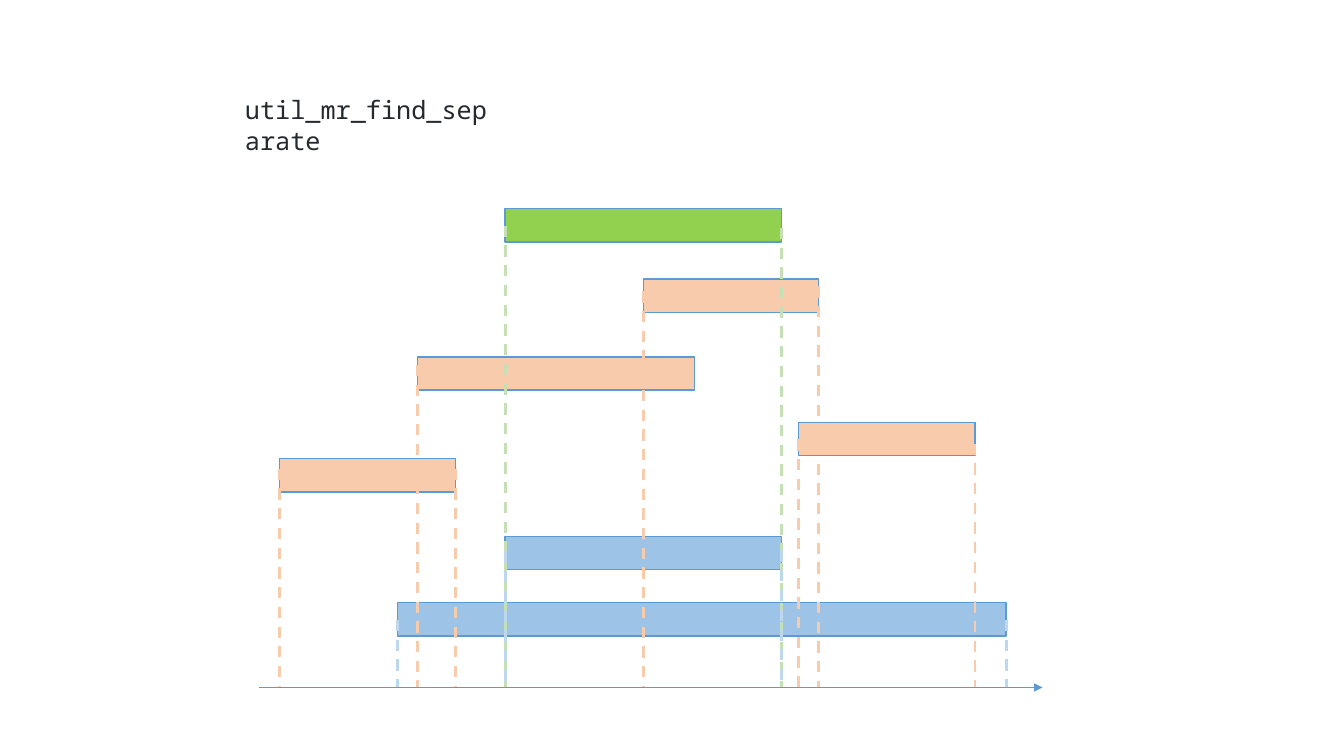
from lxml import etree
from pptx import Presentation
from pptx.dml.color import RGBColor
from pptx.enum.dml import MSO_LINE
from pptx.enum.shapes import MSO_CONNECTOR, MSO_SHAPE
from pptx.enum.text import MSO_ANCHOR, MSO_AUTO_SIZE, PP_ALIGN
from pptx.oxml.ns import qn
from pptx.util import Inches, Pt

RECTANGLE = MSO_SHAPE.RECTANGLE
STRAIGHT = MSO_CONNECTOR.STRAIGHT
DASH = MSO_LINE.DASH
TOP = MSO_ANCHOR.TOP
LEFT = PP_ALIGN.LEFT
NO_FIT = MSO_AUTO_SIZE.NONE

INK = RGBColor(0x24, 0x29, 0x2E)
OUTLINE = RGBColor(0x5B, 0x9B, 0xD5)
GREEN = RGBColor(0x92, 0xD0, 0x50)
PALE_GREEN = RGBColor(0xC5, 0xE0, 0xB4)
PEACH = RGBColor(0xF8, 0xCB, 0xAD)
BLUE = RGBColor(0x9D, 0xC3, 0xE6)
PALE_BLUE = RGBColor(0xBD, 0xD7, 0xEE)

BAR_HEIGHT = 0.33
AXIS_Y = 6.82


class RangeDiagram:
    font = "Noto Sans Mono"
    title_size = Pt(18)

    def __init__(self, page):
        self.page = page

    def title(self, text, left, top, width, height):
        box = self.page.shapes.title
        box.left, box.top = Inches(left), Inches(top)
        box.width, box.height = Inches(width), Inches(height)
        frame = box.text_frame
        frame.word_wrap = True
        frame.auto_size = NO_FIT
        frame.vertical_anchor = TOP
        para = frame.paragraphs[0]
        para.alignment = LEFT
        span = para.add_run()
        span.text = text
        span.font.name = self.font
        span.font.size = self.title_size
        span.font.color.rgb = INK

    def bar(self, start, end, top, color):
        box = self.page.shapes.add_shape(
            RECTANGLE, Inches(start), Inches(top),
            Inches(end - start), Inches(BAR_HEIGHT))
        box.shadow.inherit = False
        box.fill.solid()
        box.fill.fore_color.rgb = color
        box.line.color.rgb = OUTLINE
        box.line.width = Pt(1)

    def line(self, x1, y1, x2, y2, color, width):
        connector = self.page.shapes.add_connector(
            STRAIGHT, Inches(x1), Inches(y1), Inches(x2), Inches(y2))
        connector.line.color.rgb = color
        connector.line.width = Pt(width)
        etree.SubElement(connector._element.spPr, qn("a:effectLst"))
        return connector

    def guide(self, x, top, color):
        connector = self.line(x, top, x, AXIS_Y, color, 2)
        connector.line.dash_style = DASH

    def axis(self, start, end):
        connector = self.line(start, AXIS_Y, end, AXIS_Y, OUTLINE, 0.5)
        outline = connector.line._get_or_add_ln()
        etree.SubElement(outline, qn("a:tailEnd"), type="triangle")


BARS = [
    (6.38, 8.12, 2.77, PEACH),
    (5.01, 7.75, 2.07, GREEN),
    (4.14, 6.89, 3.54, PEACH),
    (7.92, 9.67, 4.19, PEACH),
    (2.77, 4.52, 4.55, PEACH),
    (5.01, 7.75, 5.32, BLUE),
    (3.94, 9.98, 5.98, BLUE),
]
GUIDES = [
    (PALE_GREEN, [(5.01, 2.24), (7.75, 2.26)]),
    (PEACH, [(8.12, 2.84), (6.38, 2.89), (9.67, 4.4), (4.14, 3.62),
             (2.77, 4.65), (4.52, 4.65), (7.92, 4.36)]),
    (PALE_BLUE, [(9.98, 6.15), (3.94, 6.15), (5.01, 5.47), (7.75, 5.46)]),
]

deck = Presentation()
deck.slide_width, deck.slide_height = Inches(13.33), Inches(7.5)
diagram = RangeDiagram(deck.slides.add_slide(deck.slide_layouts[5]))
for start, end, top, color in BARS:
    diagram.bar(start, end, top, color)
for color, starts in GUIDES:
    for x, top in starts:
        diagram.guide(x, top, color)
diagram.axis(2.57, 10.34)
diagram.title("util_mr_find_separate", 2.33, 0.89, 2.63, 0.4)
deck.save("out.pptx")
